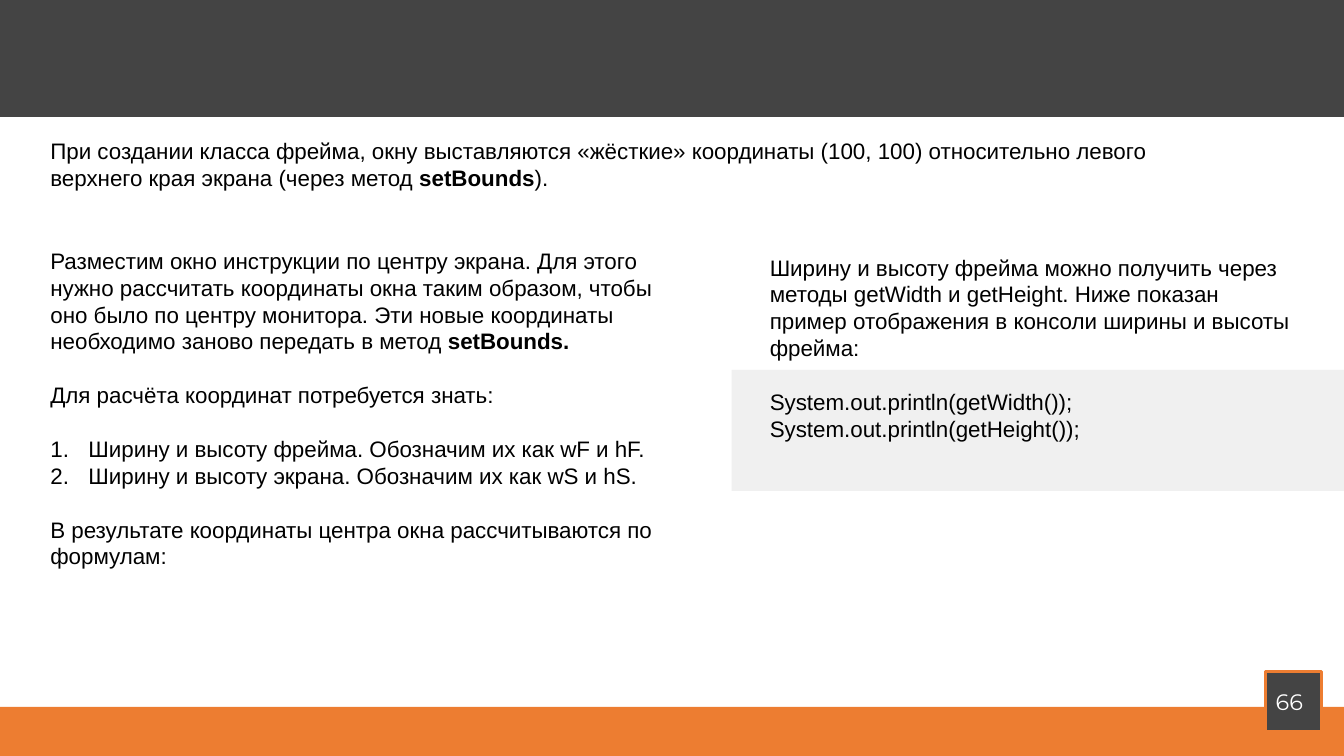
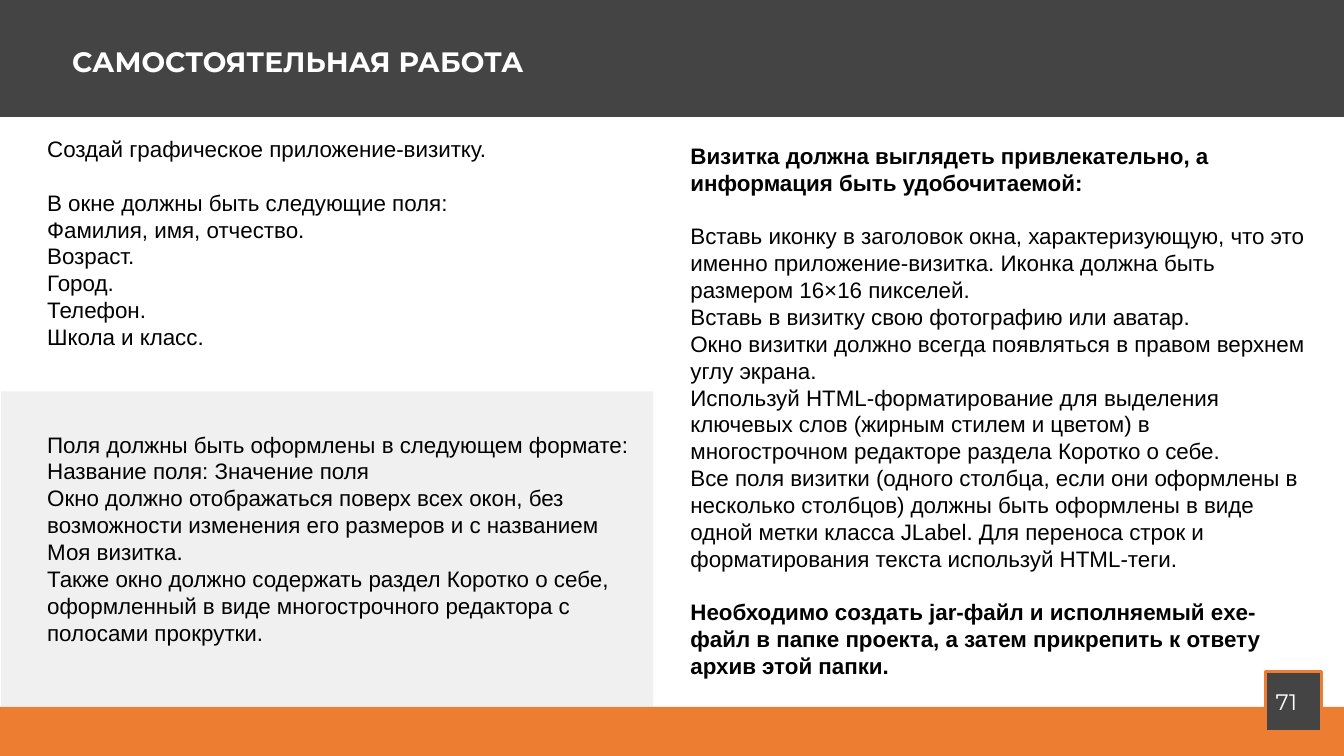
from dataclasses import dataclass, field

import pptx
import pptx.dml.color
import pptx.enum.shapes
import pptx.enum.text
import pptx.oxml
import pptx.oxml.ns
import pptx.presentation
import pptx.shapes.autoshape
import pptx.slide
import pptx.text.text
import pptx.util
from pptx.util import Cm, Pt


@dataclass(frozen=True)
class Theme:
    dark: str = "444444"
    accent: str = "ED7D31"
    white: str = "FFFFFF"
    black: str = "000000"
    head: str = "Montserrat"
    body: str = "Arial"
    title: float = 20
    text: float = 16
    line: float = 19.2
    edge: float = 2.25
    tint: int = 8
    indent: float = 0.96
    width: float = 33.87
    height: float = 19.05


THEME = Theme()


@dataclass(frozen=True)
class Box:
    left: float
    top: float
    width: float
    height: float

    def spans(self) -> tuple[pptx.util.Length, ...]:
        return Cm(self.left), Cm(self.top), Cm(self.width), Cm(self.height)


@dataclass(frozen=True)
class Run:
    text: str
    bold: bool = False


@dataclass(frozen=True)
class Para:
    runs: tuple[Run, ...]
    gap: int = 0
    listed: bool = False
    after: float = 0
    lead: float = 1


@dataclass(frozen=True)
class Style:
    font: str
    size: float
    color: str


@dataclass(frozen=True)
class Block:
    box: Box
    paras: list[Para]


@dataclass(frozen=True)
class Page:
    number: str
    panel: Box
    blocks: list[Block] = field(default_factory=list)
    title: str = ""


BODY = Style(THEME.body, THEME.text, THEME.black)
TITLE = Style(THEME.head, THEME.title, THEME.white)
NUMBER = Style(THEME.head, THEME.text, THEME.white)


def plain(text: str, gap: int = 0, listed: bool = False, bold: bool = False) -> Para:
    return Para((Run(text, bold),), gap, listed)


def tone(code: str) -> pptx.dml.color.RGBColor:
    return pptx.dml.color.RGBColor.from_string(code)


def add_rect(slide: pptx.slide.Slide, box: Box, fill: str,
             edge: str = "", alpha: int = 100) -> None:
    kind = pptx.enum.shapes.MSO_SHAPE.RECTANGLE
    shape = slide.shapes.add_shape(kind, *box.spans())
    shape.shadow.inherit = False
    shape.fill.solid()
    shape.fill.fore_color.rgb = tone(fill)
    if edge:
        shape.line.color.rgb = tone(edge)
        shape.line.width = Pt(THEME.edge)
    else:
        shape.line.fill.background()
    if alpha < 100:
        solid = shape.fill._xPr.find(pptx.oxml.ns.qn("a:solidFill"))
        node = pptx.oxml.parse_xml(
            f'<a:alpha {pptx.oxml.ns.nsdecls("a")} val="{alpha * 1000}"/>')
        solid[0].append(node)


def add_count(para: pptx.text.text._Paragraph) -> None:
    props = para._p.get_or_add_pPr()
    props.set("marL", str(Cm(THEME.indent)))
    props.set("indent", str(-Cm(THEME.indent)))
    props.append(pptx.oxml.parse_xml(
        f'<a:buAutoNum {pptx.oxml.ns.nsdecls("a")} type="arabicPeriod"/>'))


def add_text(slide: pptx.slide.Slide, block: Block, style: Style) -> None:
    frame = slide.shapes.add_textbox(*block.box.spans()).text_frame
    frame.word_wrap = True
    frame.auto_size = pptx.enum.text.MSO_AUTO_SIZE.SHAPE_TO_FIT_TEXT
    for index, item in enumerate(block.paras):
        para = frame.add_paragraph() if index else frame.paragraphs[0]
        para.line_spacing = item.lead
        if item.gap:
            para.space_before = Pt(item.gap * THEME.line)
        para.space_after = Pt(item.after)
        if item.listed:
            add_count(para)
        for part in item.runs:
            run = para.add_run()
            run.text = part.text
            run.font.name = style.font
            run.font.size = Pt(style.size)
            run.font.bold = part.bold
            run.font.color.rgb = tone(style.color)


def add_frame(slide: pptx.slide.Slide, page: Page) -> None:
    add_rect(slide, Box(0, 17.81, THEME.width, 1.24), THEME.accent)
    add_rect(slide, Box(0, 0, THEME.width, 2.95), THEME.dark)
    add_rect(slide, Box(31.9, 16.92, 1.4, 1.52), THEME.dark, THEME.accent)
    mark = Para((Run(page.number),), after=8, lead=1.01)
    add_text(slide, Block(Box(31.9, 17.2, 1.4, 0.93), [mark]), NUMBER)
    if page.title:
        head = Para((Run(page.title, True),), after=8, lead=1.07)
        add_text(slide, Block(Box(1.57, 0.94, 22.73, 1.17), [head]), TITLE)


def add_page(deck: pptx.presentation.Presentation, page: Page) -> None:
    slide = deck.slides.add_slide(deck.slide_layouts[6])
    add_rect(slide, page.panel, THEME.dark, alpha=THEME.tint)
    add_frame(slide, page)
    for block in page.blocks:
        add_text(slide, block, BODY)


PAGES = [
    Page("66", Box(18.44, 9.32, 15.43, 3.05), [
        Block(Box(1.02, 6.1, 16.36, 8.46), [
            Para((
                Run("Разместим окно инструкции по центру экрана. Для этого нужно "
                    "рассчитать координаты окна таким образом, чтобы оно было по "
                    "центру монитора. Эти новые координаты необходимо заново "
                    "передать в метод "),
                Run("setBounds.", True),
            )),
            plain("Для расчёта координат потребуется знать:", gap=1),
            plain("Ширину и высоту фрейма. Обозначим их как wF и hF.",
                  gap=1, listed=True),
            plain("Ширину и высоту экрана. Обозначим их как wS и hS.", listed=True),
            plain("В результате координаты центра окна рассчитываются по формулам:",
                  gap=1),
        ]),
        Block(Box(19.15, 6.27, 13.64, 5.05), [
            plain("Ширину и высоту фрейма можно получить через методы getWidth и "
                  "getHeight. Ниже показан пример отображения в консоли ширины и "
                  "высоты фрейма:"),
            plain("System.out.println(getWidth());", gap=1),
            plain("System.out.println(getHeight());"),
        ]),
        Block(Box(1.02, 3.33, 30.33, 1.63), [
            Para((
                Run("При создании класса фрейма, окну выставляются «жёсткие» "
                    "координаты (100, 100) относительно левого верхнего края "
                    "экрана (через метод "),
                Run("setBounds", True),
                Run(")."),
            )),
        ]),
    ]),
    Page("71", Box(0.03, 9.86, 16.43, 7.95), [
        Block(Box(0.94, 3.28, 15.54, 13.94), [
            plain("Создай графическое приложение-визитку."),
            plain("В окне должны быть следующие поля:", gap=1),
            plain("Фамилия, имя, отчество."),
            plain("Возраст."),
            plain("Город."),
            plain("Телефон."),
            plain("Школа и класс."),
            plain("Поля должны быть оформлены в следующем формате:", gap=3),
            plain("Название поля: Значение поля"),
            plain("Окно должно отображаться поверх всех окон, без возможности "
                  "изменения его размеров и с названием Моя визитка."),
            plain("Также окно должно содержать раздел Коротко о себе, оформленный "
                  "в виде многострочного редактора с полосами прокрутки."),
        ]),
        Block(Box(17.15, 3.45, 16.13, 13.94), [
            plain("Визитка должна выглядеть привлекательно, а информация быть "
                  "удобочитаемой:", bold=True),
            plain("Вставь иконку в заголовок окна, характеризующую, что это именно "
                  "приложение-визитка. Иконка должна быть размером 16×16 пикселей.",
                  gap=1),
            plain("Вставь в визитку свою фотографию или аватар."),
            plain("Окно визитки должно всегда появляться в правом верхнем углу "
                  "экрана."),
            plain("Используй HTML-форматирование для выделения ключевых слов "
                  "(жирным стилем и цветом) в многострочном редакторе раздела "
                  "Коротко о себе."),
            plain("Все поля визитки (одного столбца, если они оформлены в несколько "
                  "столбцов) должны быть оформлены в виде одной метки класса JLabel. "
                  "Для переноса строк и форматирования текста используй HTML-теги."),
            plain("Необходимо создать jar-файл и исполняемый exe-файл в папке "
                  "проекта, а затем прикрепить к ответу архив этой папки.",
                  gap=1, bold=True),
        ]),
    ], "САМОСТОЯТЕЛЬНАЯ РАБОТА"),
]


def main() -> None:
    deck = pptx.Presentation()
    deck.slide_width = Cm(THEME.width)
    deck.slide_height = Cm(THEME.height)
    for page in PAGES:
        add_page(deck, page)
    deck.save("out.pptx")


if __name__ == "__main__":
    main()
